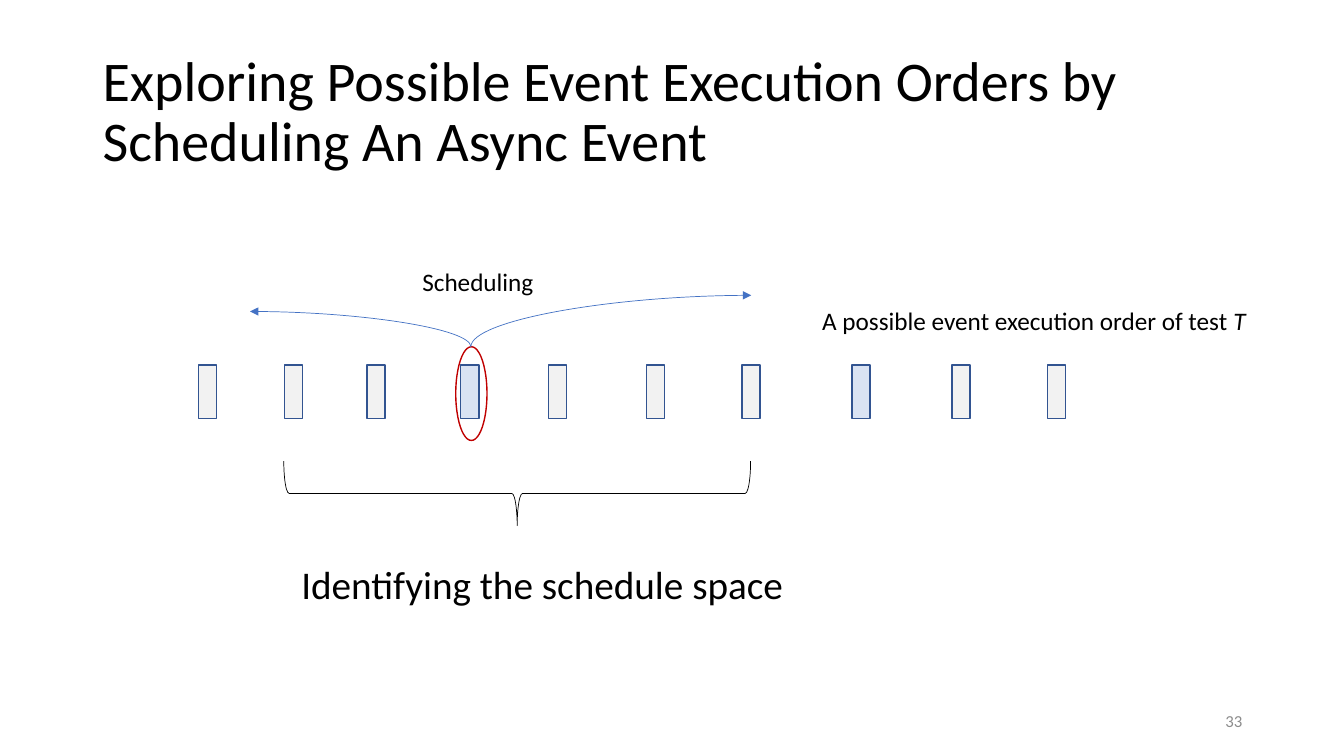
import pptx
import pptx.util
import pptx.dml.color
import pptx.enum.shapes
import pptx.enum.text
import pptx.oxml.ns
import lxml.etree

Inches = pptx.util.Inches
SHAPE = pptx.enum.shapes.MSO_SHAPE
ALIGN = pptx.enum.text.PP_ALIGN
ANCHOR = pptx.enum.text.MSO_ANCHOR

THEME = {
    "font": "Calibri",
    "text": "000000", "muted": "8C8C8C",
    "event": "F2F2F2", "async": "DAE3F3", "event_line": "325491",
    "focus": "C00000", "arrow": "4472C4",
    "title": 40, "label": 18, "caption": 28, "number": 12,
    "outline": 1, "hairline": 0.5,
}

TITLE = "Exploring Possible Event Execution Orders by Scheduling An Async Event"
ORDER_LABEL = [(" A possible event execution order of test ", False), ("T", True)]
EVENTS = [
    (1.97, "event"), (2.82, "event"), (3.64, "event"), (4.57, "async"),
    (5.44, "event"), (6.41, "event"), (7.36, "event"), (8.45, "async"),
    (9.44, "event"), (10.39, "event"),
]
EVENT_TOP, EVENT_W, EVENT_H = 3.62, 0.18, 0.53
FOCUS = (4.52, 3.44, 0.31, 0.93)
SCHEDULE_START = (4.67, 3.44)
SCHEDULE_ENDS = [(7.45, 2.93), (2.48, 3.09)]
BRACE = (4.81, 2.58, 0.64, 4.63)


def color(name):
    return pptx.dml.color.RGBColor.from_string(THEME[name])


def add_text(s, runs, box, size, ink="text", align=ALIGN.LEFT,
             anchor=ANCHOR.TOP, wrap=False, spacing=None):
    tf = s.shapes.add_textbox(*map(Inches, box)).text_frame
    tf.word_wrap = wrap
    if not wrap:
        tf.auto_size = pptx.enum.text.MSO_AUTO_SIZE.SHAPE_TO_FIT_TEXT
    tf.vertical_anchor = anchor
    p = tf.paragraphs[0]
    p.alignment = align
    if spacing:
        p.line_spacing = spacing
    for text, italic in [(runs, False)] if isinstance(runs, str) else runs:
        r = p.add_run()
        r.text = text
        r.font.name = THEME["font"]
        r.font.size = pptx.util.Pt(THEME[size])
        r.font.color.rgb = color(ink)
        if italic:
            r.font.italic = True


def add_outline(s, kind, box, line, weight="outline", fill=None):
    sp = s.shapes.add_shape(kind, *map(Inches, box))
    sp.shadow.inherit = False
    if fill:
        sp.fill.solid()
        sp.fill.fore_color.rgb = color(fill)
    else:
        sp.fill.background()
    sp.line.color.rgb = color(line)
    sp.line.width = pptx.util.Pt(THEME[weight])
    return sp


def add_schedule_arrow(s, start, end):
    qn = pptx.oxml.ns.qn
    (x1, y1), (x2, y2) = start, end
    cx, cy = (x1 + x2) / 2, (y1 + y2) / 2
    half_w, half_h = abs(y2 - y1) / 2, abs(x2 - x1) / 2
    side = 1 if x2 > x1 else -1
    cn = s.shapes.add_connector(
        pptx.enum.shapes.MSO_CONNECTOR.CURVE,
        Inches(cx + side * half_w), Inches(cy + half_h),
        Inches(cx - side * half_w), Inches(cy - half_h))
    cn.line.color.rgb = color("arrow")
    cn.line.width = pptx.util.Pt(THEME["hairline"])
    sp_pr = cn._element.spPr
    sp_pr.find(qn("a:xfrm")).set("rot", str((90 if side > 0 else 270) * 60000))
    sp_pr.find(qn("a:prstGeom")).set("prst", "curvedConnector2")
    lxml.etree.SubElement(sp_pr.find(qn("a:ln")), qn("a:tailEnd"), type="triangle")
    lxml.etree.SubElement(sp_pr, qn("a:effectLst"))


def main():
    prs = pptx.Presentation()
    prs.slide_width, prs.slide_height = Inches(13.33), Inches(7.5)
    s = prs.slides.add_slide(prs.slide_layouts[6])

    add_text(s, TITLE, (0.92, 0.4, 12.04, 1.45), "title",
             anchor=ANCHOR.MIDDLE, wrap=True, spacing=0.9)
    add_text(s, ORDER_LABEL, (8, 2.98, 4.51, 0.4), "label")
    for left, kind in EVENTS:
        add_outline(s, SHAPE.RECTANGLE, (left, EVENT_TOP, EVENT_W, EVENT_H),
                    "event_line", fill=kind)
    add_outline(s, SHAPE.OVAL, FOCUS, "focus")
    for end in SCHEDULE_ENDS:
        add_schedule_arrow(s, SCHEDULE_START, end)
    add_text(s, "Scheduling", (4.09, 2.59, 1.32, 0.4), "label")
    brace = add_outline(s, SHAPE.LEFT_BRACE, BRACE, "text", "hairline")
    brace.rotation = 270
    add_text(s, "Identifying the schedule space", (2.89, 5.51, 5.04, 0.57), "caption")
    add_text(s, "33", (9.42, 6.95, 3, 0.4), "number", ink="muted",
             align=ALIGN.RIGHT, anchor=ANCHOR.MIDDLE, wrap=True)
    prs.save("out.pptx")


if __name__ == "__main__":
    main()
